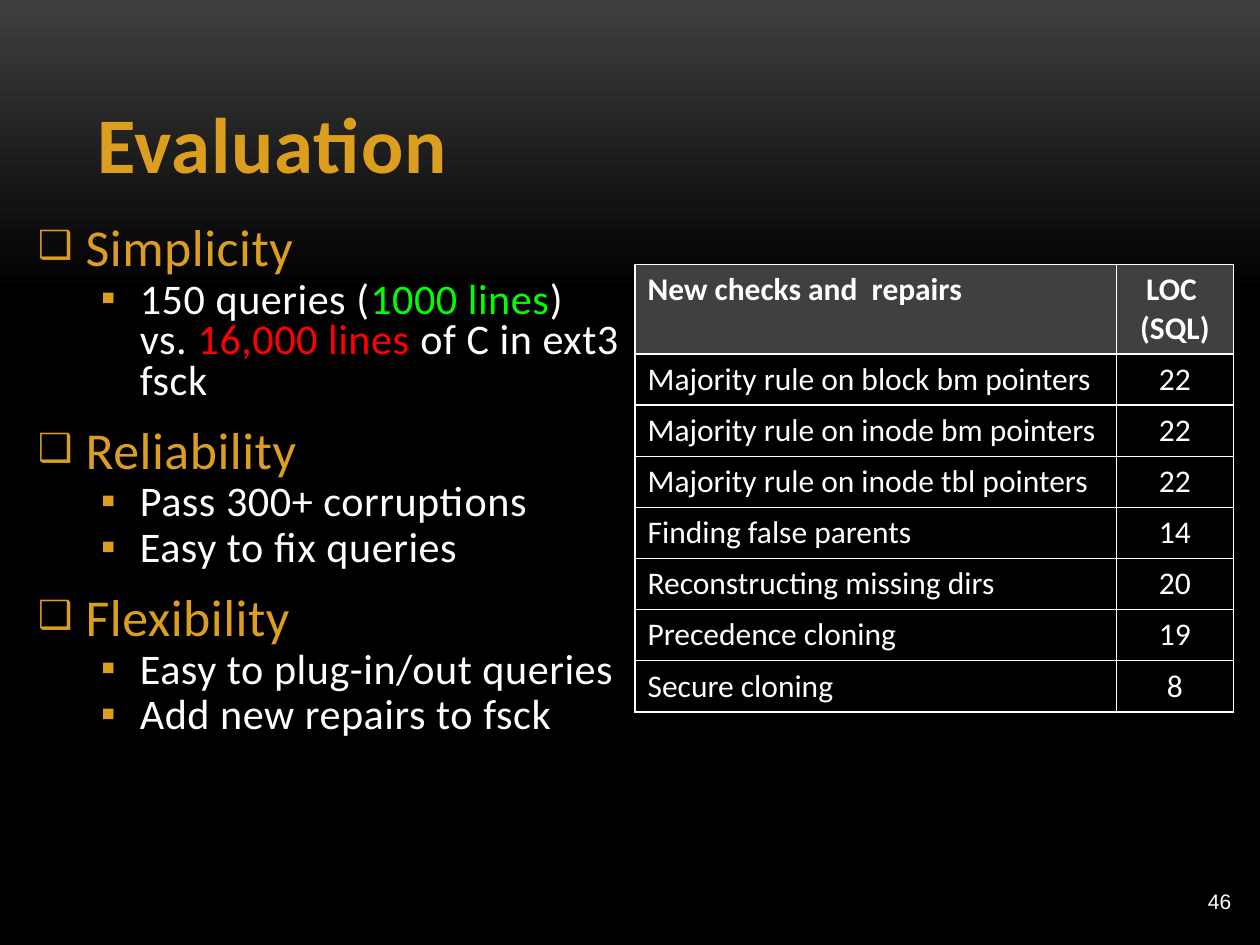
from copy import deepcopy

from lxml import etree
from pptx import Presentation
from pptx.dml.color import RGBColor
from pptx.enum.text import MSO_ANCHOR, MSO_AUTO_SIZE, PP_ALIGN
from pptx.oxml.ns import qn
from pptx.util import Inches, Pt

LEFT, CENTER, RIGHT = PP_ALIGN.LEFT, PP_ALIGN.CENTER, PP_ALIGN.RIGHT
TOP, MIDDLE, BOTTOM = MSO_ANCHOR.TOP, MSO_ANCHOR.MIDDLE, MSO_ANCHOR.BOTTOM

GOLD = RGBColor(0xDC, 0x9E, 0x1F)
WHITE = RGBColor(0xFF, 0xFF, 0xFF)
BLACK = RGBColor(0x00, 0x00, 0x00)
GREEN = RGBColor(0x00, 0xFF, 0x00)
RED = RGBColor(0xFF, 0x00, 0x00)
GRAY = RGBColor(0x3F, 0x3F, 0x3F)
HEADER_GRAY = RGBColor(0x40, 0x40, 0x40)

TOPICS = [
    ("Simplicity", [[("150 queries (", WHITE), ("1000 lines", GREEN),
                     (")\vvs. ", WHITE), ("16,000 lines ", RED),
                     ("of C in ext3 fsck", WHITE)]]),
    ("Reliability", [[("Pass 300+ corruptions", WHITE)],
                     [("Easy to fix queries", WHITE)]]),
    ("Flexibility", [[("Easy to plug-in/out queries", WHITE)],
                     [("Add new repairs to fsck", WHITE)]]),
]
REPAIRS = [
    ("New checks and  repairs", "LOC \n(SQL)"),
    ("Majority rule on block bm pointers", "22"),
    ("Majority rule on inode bm pointers", "22"),
    ("Majority rule on inode tbl pointers", "22"),
    ("Finding false parents", "14"),
    ("Reconstructing missing dirs", "20"),
    ("Precedence cloning", "19"),
    ("Secure cloning", "8"),
]


def add_xml(parent, tag, **attributes):
    return etree.SubElement(parent, qn(tag), attributes)


def add_color(parent, color):
    add_xml(parent, "a:srgbClr", val=str(color))


class SlideBuilder:
    font = "Calibri"

    def __init__(self, page):
        self.page = page

    def background(self, top_color, bottom_color, fade_end):
        fill = self.page.background.fill
        fill.gradient()
        fill.gradient_angle = 270
        first, second = fill.gradient_stops
        first.color.rgb, first.position = top_color, 0
        second.color.rgb, second.position = bottom_color, fade_end
        stops = self.page.element.xpath(".//a:gsLst")[0]
        last = deepcopy(stops[-1])
        last.set("pos", "100000")
        stops.append(last)

    def span(self, para, text, size, color, bold=False, spacing=0, font=None):
        """Add text to a paragraph; a vertical tab makes a line break."""
        for index, part in enumerate(text.split("\v")):
            if index:
                para.add_line_break()
            span = para.add_run()
            span.text = part
            span.font.name = font or self.font
            span.font.size = Pt(size)
            span.font.bold = bold
            span.font.color.rgb = color
            if spacing:
                span.font._element.set("spc", str(round(spacing * 100)))

    def place(self, box, area, anchor):
        box.left, box.top, box.width, box.height = map(Inches, area)
        frame = box.text_frame
        frame.word_wrap = True
        frame.auto_size = MSO_AUTO_SIZE.NONE
        frame.vertical_anchor = anchor
        return frame

    def title(self, text, area):
        para = self.place(self.page.shapes.title, area, BOTTOM).paragraphs[0]
        para.alignment = LEFT
        self.span(para, text, 45, GOLD, bold=True, spacing=0.5)

    def bullet(self, para, level, character, indent, hanging, before, scale):
        para.level = level
        para.alignment = LEFT
        para.line_spacing = 0.8
        para.space_before = Pt(before)
        para.space_after = Pt(0)
        props = para._p.get_or_add_pPr()
        props.set("marL", str(Inches(indent)))
        props.set("indent", str(-Inches(hanging)))
        add_color(add_xml(props, "a:buClr"), GOLD)
        add_xml(props, "a:buSzPct", val=str(scale * 1000))
        add_xml(props, "a:buFont", typeface="Arial")
        add_xml(props, "a:buChar", char=character)

    def topics(self, topics, area):
        frame = self.place(self.page.placeholders[1], area, TOP)
        for index, (heading, points) in enumerate(topics):
            para = frame.add_paragraph() if index else frame.paragraphs[0]
            self.bullet(para, 0, "❑", 0.38, 0.38, 15, 75)
            self.span(para, heading, 29.6, GOLD, spacing=0.3)
            for point in points:
                para = frame.add_paragraph()
                self.bullet(para, 1, "▪", 0.81, 0.31, 3, 100)
                for text, color in point:
                    self.span(para, text, 24.1, color, spacing=0.3)

    def cell_borders(self, cell):
        props = cell._tc.get_or_add_tcPr()
        for index, side in enumerate(("a:lnL", "a:lnR", "a:lnT", "a:lnB")):
            line = etree.Element(qn(side), w=str(Pt(1)))
            add_color(add_xml(line, "a:solidFill"), WHITE)
            props.insert(index, line)

    def table(self, rows, area, widths, header_height):
        left, top, width, height = area
        table = self.page.shapes.add_table(
            len(rows), len(widths), *map(Inches, area)).table
        for column, column_width in zip(table.columns, widths):
            column.width = Inches(column_width)
        row_height = (height - header_height) / (len(rows) - 1)
        for row_index, values in enumerate(rows):
            header = row_index == 0
            table.rows[row_index].height = Inches(
                header_height if header else row_height)
            for column_index, value in enumerate(values):
                cell = table.cell(row_index, column_index)
                if header:
                    cell.fill.solid()
                    cell.fill.fore_color.rgb = HEADER_GRAY
                else:
                    cell.fill.background()
                self.cell_borders(cell)
                frame = cell.text_frame
                for line_index, line in enumerate(value.split("\n")):
                    para = (frame.add_paragraph() if line_index
                            else frame.paragraphs[0])
                    para.alignment = CENTER if column_index else LEFT
                    self.span(para, line, 18, WHITE, bold=header)

    def page_number(self, text, area):
        box = self.page.shapes.add_textbox(*map(Inches, area))
        para = self.place(box, area, MIDDLE).paragraphs[0]
        para.alignment = RIGHT
        self.span(para, text, 12, WHITE, font="Arial")


def main():
    deck = Presentation()
    deck.slide_width, deck.slide_height = Inches(10), Inches(7.5)
    builder = SlideBuilder(deck.slides.add_slide(deck.slide_layouts[1]))
    builder.background(GRAY, BLACK, 0.31)
    builder.title("Evaluation", (0.67, 0.3, 8.67, 1.25))
    builder.page_number("46", (8.79, 6.95, 1.08, 0.4))
    builder.topics(TOPICS, (0.2, 1.75, 4.85, 4.44))
    builder.table(REPAIRS, (5.04, 2.1, 4.75, 3.54), (3.82, 0.93), 0.71)
    deck.save("out.pptx")


if __name__ == "__main__":
    main()
